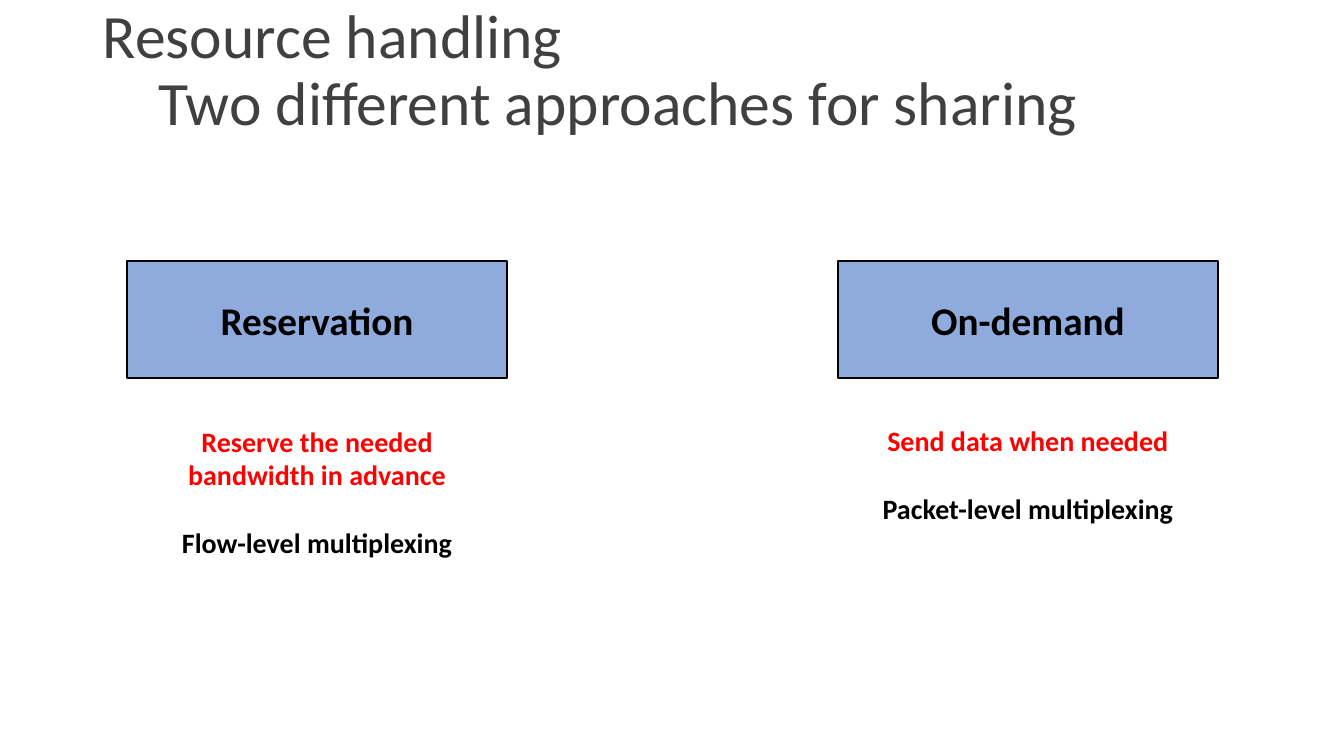
from pptx import Presentation
from pptx.dml.color import RGBColor
from pptx.enum.shapes import MSO_SHAPE
from pptx.enum.text import MSO_ANCHOR, MSO_AUTO_SIZE, PP_ALIGN
from pptx.util import Inches, Pt

COLORS = {"title": "404040", "box": "8FAADC", "text": "000000", "key": "FF0000"}
WIDTH = 3.77
CHOICES = [
    (1.26, "Reservation", 4.16, 1.45,
     "Reserve the needed bandwidth in advance", "Flow-level multiplexing"),
    (8.31, "On-demand", 4.15, 1.11,
     "Send data when needed", "Packet-level multiplexing"),
]


def color(name):
    """Return the named colour."""
    return RGBColor.from_string(COLORS[name])


def add_run(para, text, size, tint, bold=True):
    """Add one styled run to a paragraph."""
    run = para.add_run()
    run.text = text
    font = run.font
    font.name, font.size, font.bold = "Calibri", Pt(size), bold
    font.color.rgb = color(tint)


def set_title(slide):
    """Fill the title with a heading and an indented second line."""
    title = slide.shapes.title
    title.left, title.top = Inches(0.92), Inches(-0.01)
    title.width, title.height = Inches(11.5), Inches(1.45)
    frame = title.text_frame
    frame.auto_size = MSO_AUTO_SIZE.NONE
    frame.word_wrap = True
    frame.vertical_anchor = MSO_ANCHOR.MIDDLE
    head, sub = frame.paragraphs[0], frame.add_paragraph()
    sub._p.get_or_add_pPr().set("marL", str(Inches(0.55)))
    lines = (head, "Resource handling"), (sub, "Two different approaches for sharing")
    for para, text in lines:
        para.alignment = PP_ALIGN.LEFT
        para.line_spacing = 0.9
        para.space_before = Pt(0)
        add_run(para, text, 44, "title", False)


def add_box(slide, left, label):
    """Add a filled box with a centred label."""
    box = slide.shapes.add_shape(
        MSO_SHAPE.RECTANGLE, Inches(left), Inches(2.59), Inches(WIDTH), Inches(1.16))
    box.shadow.inherit = False
    box.fill.solid()
    box.fill.fore_color.rgb = color("box")
    box.line.color.rgb = color("text")
    box.line.width = Pt(1)
    frame = box.text_frame
    frame.vertical_anchor = MSO_ANCHOR.MIDDLE
    para = frame.paragraphs[0]
    para.alignment = PP_ALIGN.CENTER
    add_run(para, label, 28, "text")


def add_note(slide, left, top, height, key, detail):
    """Add a red key line with a black detail below it."""
    note = slide.shapes.add_textbox(
        Inches(left), Inches(top), Inches(WIDTH), Inches(height))
    frame = note.text_frame
    frame.word_wrap = True
    frame.auto_size = MSO_AUTO_SIZE.SHAPE_TO_FIT_TEXT
    first, last = frame.paragraphs[0], frame.add_paragraph()
    last.space_before = Pt(24.4)
    for para, text, tint in (first, key, "key"), (last, detail, "text"):
        para.alignment = PP_ALIGN.CENTER
        add_run(para, text, 20, tint)


def main():
    """Build and save the slide."""
    deck = Presentation()
    deck.slide_width, deck.slide_height = Inches(13.33), Inches(7.5)
    slide = deck.slides.add_slide(deck.slide_layouts[5])
    set_title(slide)
    for left, label, top, height, key, detail in CHOICES:
        add_box(slide, left, label)
        add_note(slide, left, top, height, key, detail)
    deck.save("out.pptx")


if __name__ == "__main__":
    main()
